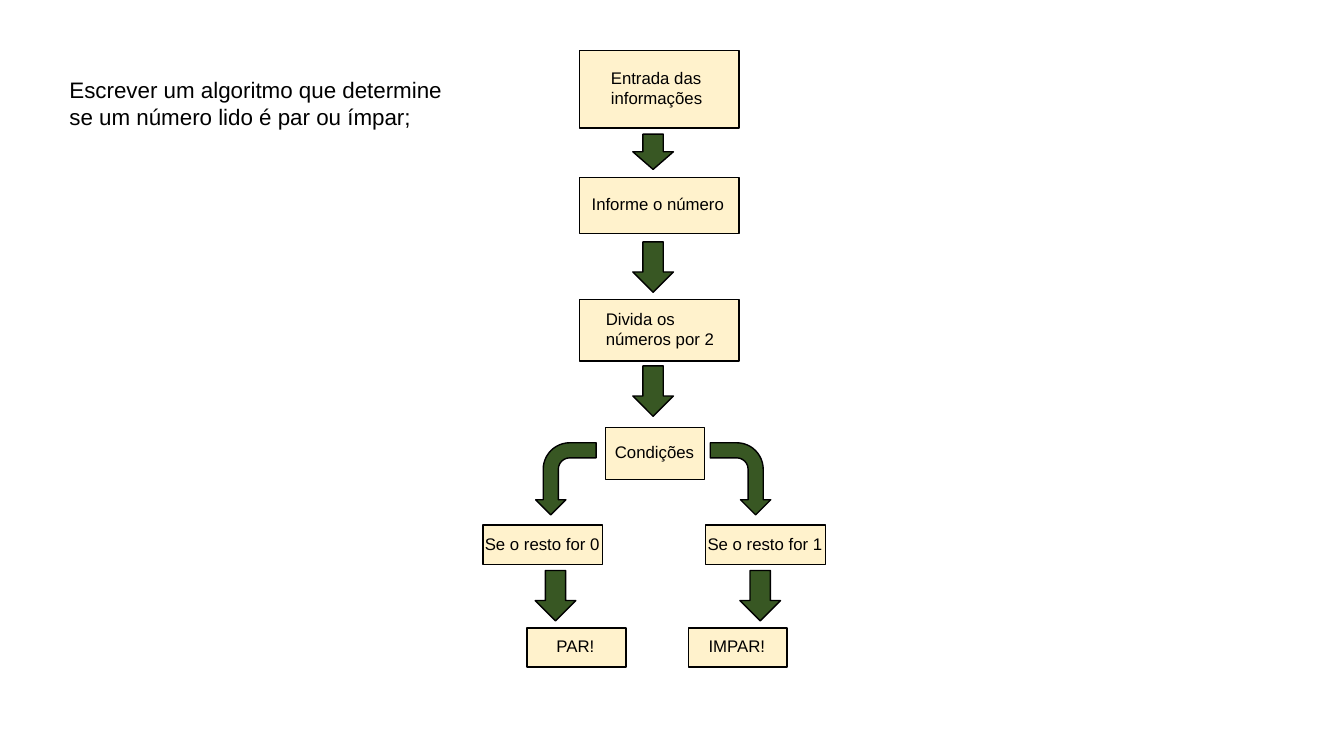
from pptx import Presentation
from pptx.dml.color import RGBColor
from pptx.enum.shapes import MSO_SHAPE
from pptx.enum.text import MSO_ANCHOR, PP_ALIGN
from pptx.util import Pt

COLORS = {"box": "FFF2CC", "arrow": "385723", "ink": "000000"}
FONT = "Arial"

# text, left, top, width, height, left inset
BOXES = [
    ("Entrada das informações", 414, 36, 113.75, 55.5, 22.3),
    ("Informe o número", 414, 126.75, 113.75, 40.3, 8.6),
    ("Divida os números por 2", 414, 213.85, 113.75, 43.9, 18.7),
    ("Condições", 432.7, 305.3, 70.55, 37.4, 6.5),
    ("Se o resto for 0", 344.9, 375.1, 85.7, 28, 1.4),
    ("Se o resto for 1", 504, 375.1, 85.7, 28, 1.4),
    ("PAR!", 376.55, 448.55, 70.55, 28, 20.9),
    ("IMPAR!", 491.75, 448.55, 70.55, 28, 14.4),
]

# left, top, height
DOWNS = [
    (452, 95.8, 25.2),
    (452, 172.8, 36),
    (452, 261.4, 36),
    (382.3, 407.5, 36),
    (528.5, 407.5, 36),
]


def add_shape(slide, kind, area, fill):
    """Add a filled preset shape with a thin dark outline."""
    shape = slide.shapes.add_shape(kind, *map(Pt, area))
    shape.shadow.inherit = False
    shape.fill.solid()
    shape.fill.fore_color.rgb = RGBColor.from_string(COLORS[fill])
    shape.line.color.rgb = RGBColor.from_string(COLORS["ink"])
    shape.line.width = Pt(1)
    return shape


def set_text(frame, text, size):
    """Write one left-aligned, wrapped paragraph."""
    frame.word_wrap = True
    para = frame.paragraphs[0]
    para.text = text
    para.alignment = PP_ALIGN.LEFT
    para.font.name = FONT
    para.font.size = Pt(size)
    para.font.color.rgb = RGBColor.from_string(COLORS["ink"])


def add_box(slide, text, left, top, width, height, inset):
    """Add a step of the flow with its label."""
    area = (left, top, width, height)
    frame = add_shape(slide, MSO_SHAPE.RECTANGLE, area, "box").text_frame
    frame.vertical_anchor = MSO_ANCHOR.MIDDLE
    frame.margin_left = Pt(inset)
    frame.margin_right = frame.margin_top = 0
    frame.margin_bottom = Pt(2)
    set_text(frame, text, 12)


def add_down(slide, left, top, height):
    """Add a straight arrow to the next step."""
    add_shape(slide, MSO_SHAPE.DOWN_ARROW, (left, top, 29, height), "arrow")


def add_bend(slide, left, flip=False):
    """Add a bent arrow that leads down to a branch."""
    area = (left, 320.4, 51.5, 43.2)
    bend = add_shape(slide, MSO_SHAPE.BENT_ARROW, area, "arrow")
    bend.rotation = 90
    if flip:
        bend.element.spPr.xfrm.set("flipV", "1")


def add_task(slide, text):
    """Add the statement of the exercise."""
    area = (42.5, 51, 296.6, 46)
    box = slide.shapes.add_textbox(*map(Pt, area))
    set_text(box.text_frame, text, 16)


def main():
    """Build the flowchart slide and save it."""
    deck = Presentation()
    deck.slide_width, deck.slide_height = Pt(960), Pt(540)
    slide = deck.slides.add_slide(deck.slide_layouts[6])
    add_task(slide, "Escrever um algoritmo que determine "
                    "se um número lido é par ou ímpar;")
    for box in BOXES:
        add_box(slide, *box)
    for down in DOWNS:
        add_down(slide, *down)
    add_bend(slide, 378.5, flip=True)
    add_bend(slide, 503.2)
    deck.save("out.pptx")


main()
